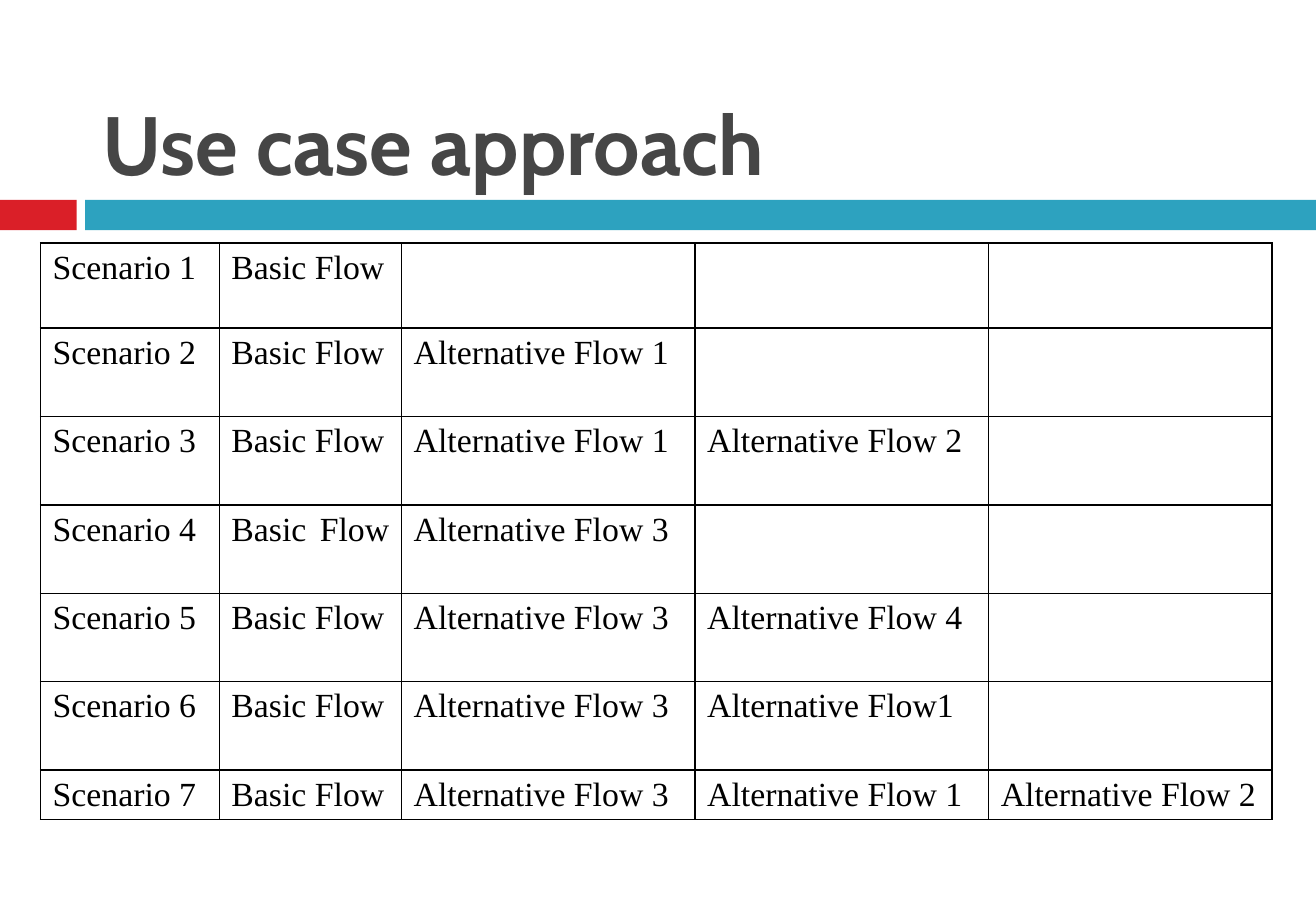
"""Build the slide listing the flow of each use case scenario."""
from dataclasses import dataclass
from typing import Any

from lxml.etree import SubElement as Sub
from pptx import Presentation
from pptx.dml.color import RGBColor as Rgb
from pptx.enum.shapes import MSO_SHAPE as Kind
from pptx.enum.text import MSO_ANCHOR as Anchor, MSO_AUTO_SIZE as Fit, PP_ALIGN as Align
from pptx.oxml.ns import qn
from pptx.util import Pt

HUES = {"red": "DA1F28", "teal": "2DA2BF", "title": "464646", "ink": "000000"}
WIDE, HIGH = 780, 540
COLS = [106, 108, 174, 174, 168]
ROWS = [50.5] + [52.4] * 5 + [29.5]
FLOWS = [
    ["Basic Flow"],
    ["Basic Flow", "Alternative Flow 1"],
    ["Basic Flow", "Alternative Flow 1", "Alternative Flow 2"],
    ["Basic Flow ", "Alternative Flow 3"],
    ["Basic Flow", "Alternative Flow 3", "Alternative Flow 4"],
    ["Basic Flow", "Alternative Flow 3", "Alternative Flow1"],
    ["Basic Flow", "Alternative Flow 3", "Alternative Flow 1", "Alternative Flow 2"],
]
TITLE_BOX = {"left": Pt(52), "top": Pt(12), "width": Pt(695.5), "height": Pt(106)}
TITLE_FRAME = {
    "vertical_anchor": Anchor.BOTTOM, "auto_size": Fit.NONE, "word_wrap": True,
    "margin_left": Pt(8.5), "margin_right": Pt(8.5),
    "margin_top": Pt(4.25), "margin_bottom": Pt(4.25),
}
TITLE_FONT = {"name": "Cabin", "size": Pt(49), "bold": True}
CELL_FONT = {"name": "Times New Roman", "size": Pt(20), "bold": False}
PLAIN = {"first_row": False, "horz_banding": False}


@dataclass
class Bar:
    """A coloured strip below the title."""
    left: float
    width: float
    hue: str


BARS = [Bar(0, 45.5, "red"), Bar(50.5, WIDE - 50.5, "teal")]


def apply(item: Any, form: dict[str, Any]) -> None:
    """Set each format value on the item."""
    for name, value in form.items():
        setattr(item, name, value)


def tint(hue: str) -> Rgb:
    """Return the named colour."""
    return Rgb.from_string(HUES[hue])


def write(para: Any, text: str, form: dict[str, Any], hue: str) -> None:
    """Add one formatted run to a paragraph."""
    run = para.add_run()
    run.text = text
    apply(run.font, form)
    run.font.color.rgb = tint(hue)


def draw_bar(slide: Any, bar: Bar) -> None:
    """Draw one strip."""
    shape = slide.shapes.add_shape(
        Kind.RECTANGLE, Pt(bar.left), Pt(118.5), Pt(bar.width), Pt(18))
    shape.shadow.inherit = False
    shape.fill.solid()
    shape.fill.fore_color.rgb = tint(bar.hue)
    shape.line.fill.background()


def draw_title(slide: Any, text: str) -> None:
    """Place and fill the title."""
    title = slide.shapes.title
    apply(title, TITLE_BOX)
    apply(title.text_frame, TITLE_FRAME)
    para = title.text_frame.paragraphs[0]
    para.alignment = Align.LEFT
    write(para, text, TITLE_FONT, "title")


def frame(cell: Any) -> None:
    """Give a cell thin borders and no fill."""
    props = cell._tc.get_or_add_tcPr()
    for side in ("lnL", "lnR", "lnT", "lnB"):
        line = Sub(props, qn(f"a:{side}"), w=str(Pt(1)))
        fill = Sub(line, qn("a:solidFill"))
        Sub(fill, qn("a:srgbClr"), val=HUES["ink"])
    cell.fill.background()


def fill_cell(cell: Any, text: str) -> None:
    """Write justified text with a hanging indent."""
    para = cell.text_frame.paragraphs[0]
    para.alignment = Align.JUSTIFY
    props = para._p.get_or_add_pPr()
    props.set("marL", str(Pt(29.5)))
    props.set("indent", str(-Pt(29.5)))
    write(para, text, CELL_FONT, "ink")


def draw_table(slide: Any) -> None:
    """Draw the grid of scenarios and flows."""
    table = slide.shapes.add_table(
        len(ROWS), len(COLS), Pt(24), Pt(144), Pt(sum(COLS)), Pt(sum(ROWS))).table
    apply(table, PLAIN)
    for col, width in zip(table.columns, COLS):
        col.width = Pt(width)
    for num, (row, height, flows) in enumerate(zip(table.rows, ROWS, FLOWS), 1):
        row.height = Pt(height)
        for cell in row.cells:
            frame(cell)
        for cell, text in zip(row.cells, [f"Scenario {num}", *flows]):
            fill_cell(cell, text)


def main() -> None:
    """Build and save the slide."""
    deck = Presentation()
    apply(deck, {"slide_width": Pt(WIDE), "slide_height": Pt(HIGH)})
    slide = deck.slides.add_slide(deck.slide_layouts[5])
    for bar in BARS:
        draw_bar(slide, bar)
    draw_title(slide, "Use case approach")
    draw_table(slide)
    deck.save("out.pptx")


if __name__ == "__main__":
    main()
